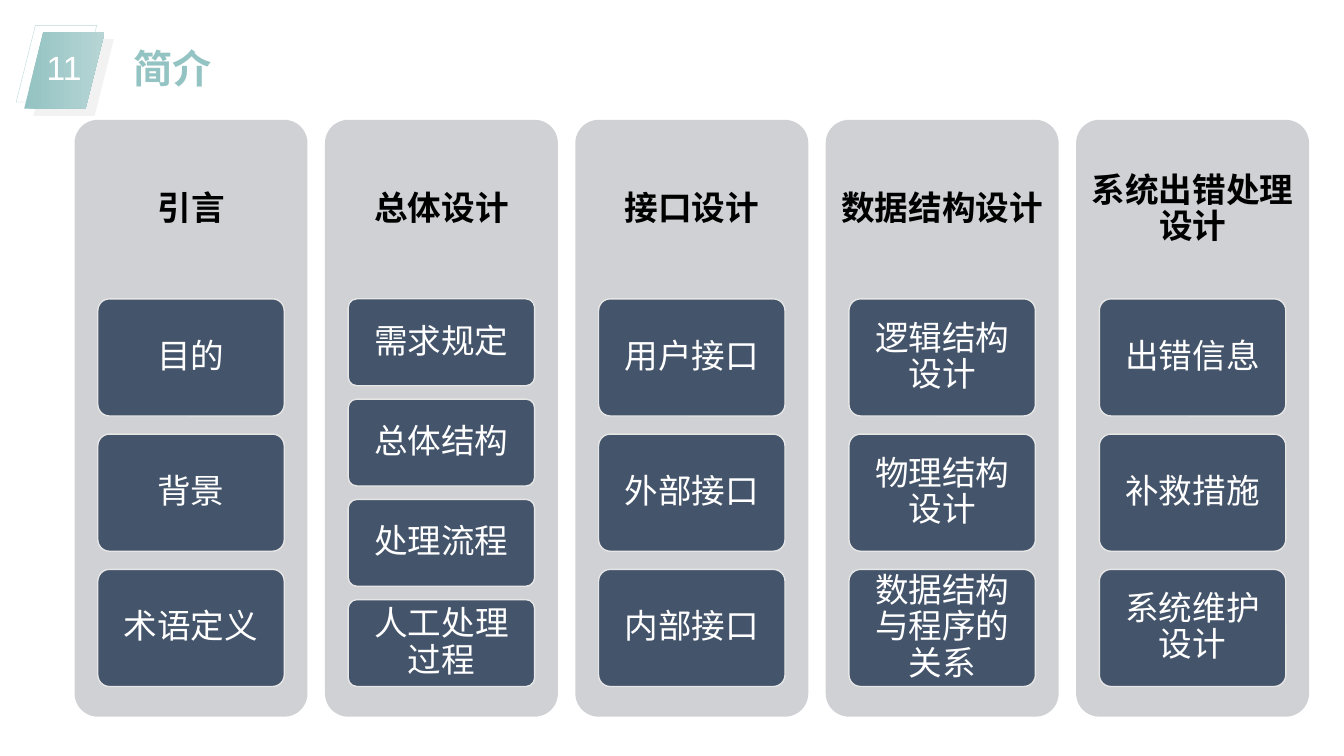
from pptx import Presentation
from pptx.dml.color import RGBColor
from pptx.enum.shapes import MSO_SHAPE
from pptx.enum.text import MSO_ANCHOR, PP_ALIGN
from pptx.util import Cm, Pt

TITLE = "简介"
PAGE_NUMBER = "11"
CHAPTERS = {
    "引言": ["目的", "背景", "术语定义"],
    "总体设计": ["需求规定", "总体结构", "处理流程", "人工处理过程"],
    "接口设计": ["用户接口", "外部接口", "内部接口"],
    "数据结构设计": ["逻辑结构设计", "物理结构设计", "数据结构与程序的关系"],
    "系统出错处理设计": ["出错信息", "补救措施", "系统维护设计"],
}

PANEL_LEFT, PANEL_TOP, PANEL_WIDTH, PANEL_HEIGHT = 1.88, 3.02, 5.87, 15.04
PANEL_PITCH = 6.31
HEADING_HEIGHT = 4.51
CARD_WIDTH = 4.7
CARDS_HEIGHT = 9.77
GAP_RATIO = 0.154  # gap between cards as a share of card height

BADGE_WIDTH, BADGE_HEIGHT = 2.03, 1.93
HEADING_FORMAT = {"size": Pt(24), "name": "Calibri", "bold": True}
CARD_FORMAT = {"size": Pt(24), "name": "Calibri"}
NUMBER_FORMAT = {"size": Pt(24), "name": "Arial"}
TITLE_FORMAT = {"size": Pt(28), "name": "Arial", "bold": True}


def color(hex_string):
    return RGBColor.from_string(hex_string)


def add_block(slide, kind, box, fill=None, line=None, line_width=1):
    """Add a preset shape; box is left, top, width, height in cm."""
    shape = slide.shapes.add_shape(kind, *map(Cm, box))
    shape.shadow.inherit = False
    if fill:
        shape.fill.solid()
        shape.fill.fore_color.rgb = color(fill)
    else:
        shape.fill.background()
    if line:
        shape.line.color.rgb = color(line)
        shape.line.width = Pt(line_width)
    else:
        shape.line.fill.background()
    return shape


def write(shape, text, font_format, font_color, margins=(0.25, 0.13),
          anchor=MSO_ANCHOR.MIDDLE, align=PP_ALIGN.CENTER, spacing=0.9, wrap=True):
    """Fill a shape with one paragraph; margins are side and top/bottom in cm."""
    side, end = map(Cm, margins)
    frame_format = {"margin_left": side, "margin_right": side, "margin_top": end,
                    "margin_bottom": end, "vertical_anchor": anchor, "word_wrap": wrap}
    for name, value in frame_format.items():
        setattr(shape.text_frame, name, value)
    paragraph = shape.text_frame.paragraphs[0]
    paragraph.alignment = align
    paragraph.line_spacing = spacing
    run = paragraph.add_run()
    run.text = text
    for name, value in font_format.items():
        setattr(run.font, name, value)
    run.font.color.rgb = color(font_color)


def add_label(slide, box, *args, **options):
    write(slide.shapes.add_textbox(*map(Cm, box)), *args, **options)


def add_header(slide):
    size = (BADGE_WIDTH, BADGE_HEIGHT)
    add_block(slide, MSO_SHAPE.PARALLELOGRAM, (0.41, 0.64, *size),
              line="BAD7D7", line_width=0.25)
    add_block(slide, MSO_SHAPE.PARALLELOGRAM, (0.84, 0.99, *size), fill="F2F2F2")
    badge = add_block(slide, MSO_SHAPE.PARALLELOGRAM, (0.61, 0.81, *size))
    badge.fill.gradient()
    badge.fill.gradient_angle = 0
    for stop, shade in zip(badge.fill.gradient_stops, ("93C3C2", "B7D5D5")):
        stop.color.rgb = color(shade)
    add_label(slide, (0.84, 0.91, 1.55, 1.37), PAGE_NUMBER, NUMBER_FORMAT, "FFFFFF",
              spacing=1.2, wrap=False)
    add_label(slide, (3.12, 0.99, 8.26, 1.45), TITLE, TITLE_FORMAT, "93C3C2",
              anchor=MSO_ANCHOR.TOP, align=PP_ALIGN.LEFT, spacing=1.0)


def add_chapter(slide, left, heading, topics):
    panel = add_block(slide, MSO_SHAPE.ROUNDED_RECTANGLE,
                      (left, PANEL_TOP, PANEL_WIDTH, PANEL_HEIGHT), fill="CFD1D4")
    panel.adjustments[0] = 0.1
    add_label(slide, (left, PANEL_TOP, PANEL_WIDTH, HEADING_HEIGHT), heading,
              HEADING_FORMAT, "000000", margins=(0.25, 0.25))
    count = len(topics)
    card_height = CARDS_HEIGHT / (count + (count - 1) * GAP_RATIO)
    card_left = left + (PANEL_WIDTH - CARD_WIDTH) / 2
    for row, topic in enumerate(topics):
        top = PANEL_TOP + HEADING_HEIGHT + row * card_height * (1 + GAP_RATIO)
        card = add_block(slide, MSO_SHAPE.ROUNDED_RECTANGLE,
                         (card_left, top, CARD_WIDTH, card_height),
                         fill="44546A", line="E7E6E6")
        card.adjustments[0] = 0.1
        write(card, topic, CARD_FORMAT, "FFFFFF", margins=(0.17, 0.13))


def main():
    presentation = Presentation()
    presentation.slide_width, presentation.slide_height = Cm(33.87), Cm(19.05)
    slide = presentation.slides.add_slide(presentation.slide_layouts[6])
    add_header(slide)
    for column, (heading, topics) in enumerate(CHAPTERS.items()):
        add_chapter(slide, PANEL_LEFT + column * PANEL_PITCH, heading, topics)
    presentation.save("out.pptx")


if __name__ == "__main__":
    main()
